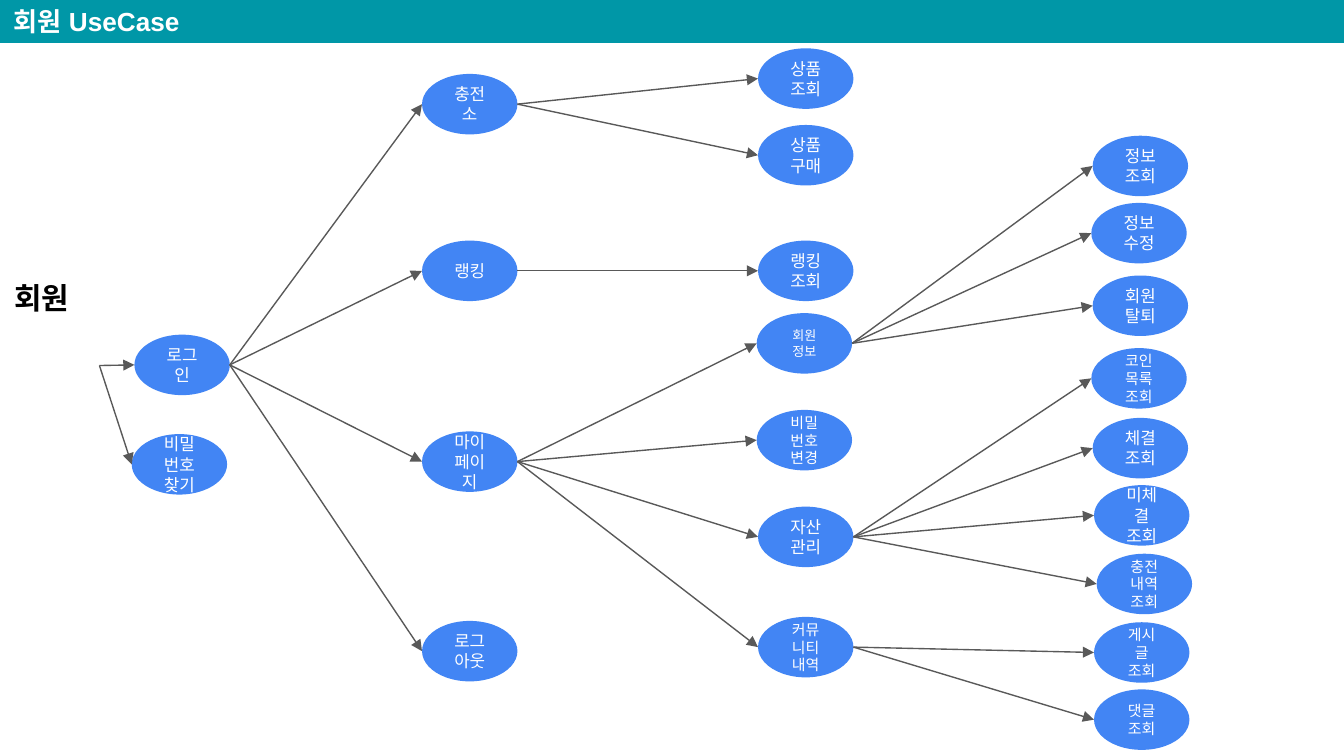
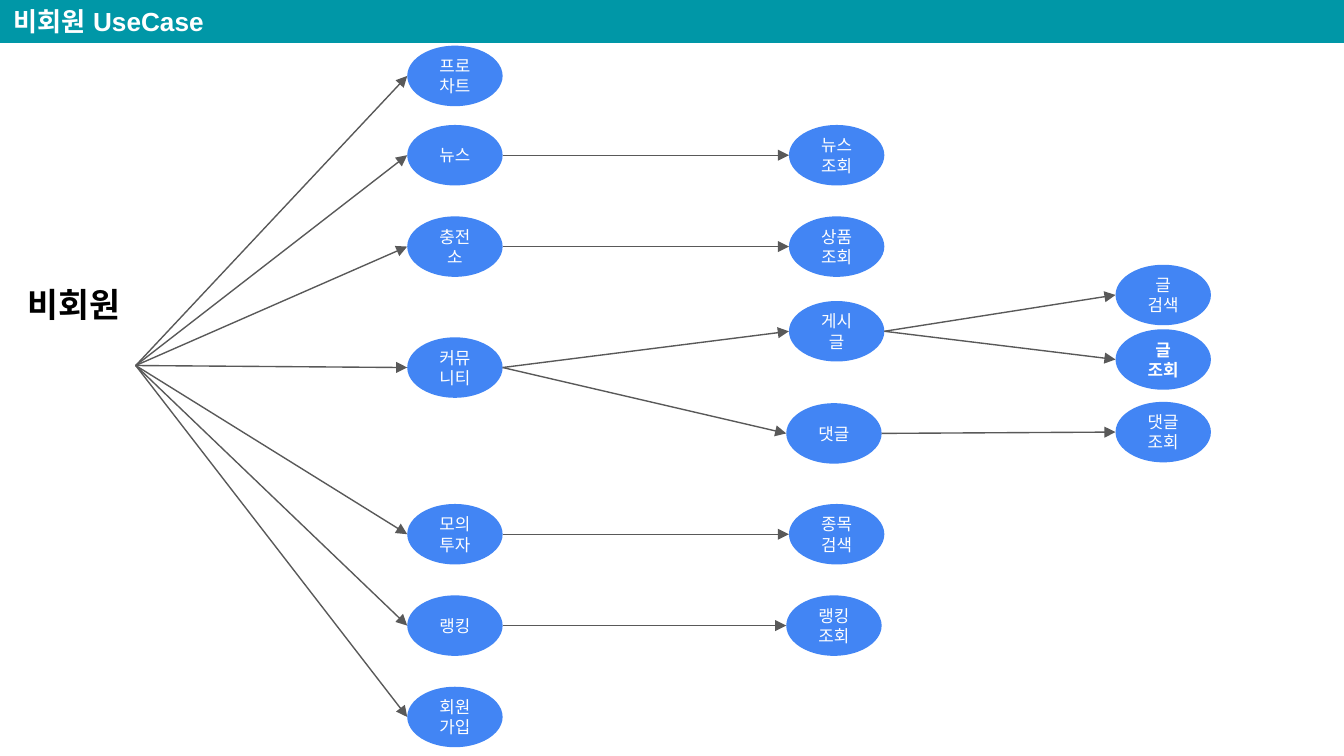
import pptx
import pptx.dml.color
import pptx.enum.shapes
import pptx.enum.text
import pptx.oxml
import pptx.util

Inches = pptx.util.Inches
SHAPE = pptx.enum.shapes.MSO_SHAPE
ALIGN = pptx.enum.text.PP_ALIGN

# Shared style
TEAL, BLUE, GREY, WHITE, BLACK = "0097A7", "4285F4", "595959", "FFFFFF", "000000"
NODE_W, NODE_H = 0.71, 0.45
TITLE_BOX = (0, -0.06, 2.82, 0.44)
TITLE_FORMAT = {"size": 14, "name": "Arial", "color": WHITE, "bold": True}
NODE_FORMAT = {"size": 9, "name": "Lato", "color": WHITE}
ACTOR_FORMAT = {"size": 16, "name": "Lato", "color": BLACK, "bold": True}

# Each node: text, left, top, children, format changes; "\n" parts paragraphs
SMALL = {"size": 8}

MEMBER_TREE = [
    ("로그인", 1, 2.49, [
        ("충전소", 3.14, 0.55, [
            ("상품 조회", 5.64, 0.36),
            ("상품\n구매", 5.64, 0.93),
        ]),
        ("랭킹", 3.14, 1.79, [
            ("랭킹\n조회", 5.64, 1.79),
        ]),
        ("마이\n페이지", 3.14, 3.21, [
            ("회원\n정보", 5.63, 2.33, [
                ("정보\n조회", 8.13, 1.01),
                ("정보\n수정", 8.12, 1.51),
                ("회원\n탈퇴", 8.13, 2.05),
            ], {"size": 7}),
            ("비밀\n번호\n변경", 5.63, 3.05, [], SMALL),
            ("자산\n관리", 5.64, 3.77, [
                ("코인\n목록\n조회", 8.12, 2.59, [], SMALL),
                ("체결\n조회", 8.13, 3.11),
                ("미체결\n조회", 8.14, 3.61),
                ("충전\n내역\n조회", 8.16, 4.12, [], SMALL),
            ]),
            ("커뮤\n니티\n내역", 5.64, 4.59, [
                ("게시글\n조회", 8.14, 4.63, [], SMALL),
                ("댓글\n조회", 8.14, 5.13, [], SMALL),
            ], SMALL),
        ]),
        ("로그 아웃", 3.14, 4.62),
    ]),
    ("비밀 번호\n찾기", 0.98, 3.23),
]

GUEST_TREE = [
    ("프로 차트", 3.03, 0.34),
    ("뉴스", 3.03, 0.93, [
        ("뉴스\n조회", 5.87, 0.93),
    ]),
    ("충전소", 3.03, 1.61, [
        ("상품 조회", 5.87, 1.61),
    ]),
    ("커뮤 니티", 3.03, 2.51, [
        ("게시글", 5.87, 2.24, [
            ("글 검색", 8.3, 1.97),
            ("글\n조회", 8.3, 2.45, [], {"bold": True}),
        ]),
        ("댓글", 5.85, 3, [
            ("댓글\n조회", 8.3, 2.99),
        ]),
    ]),
    ("모의 투자", 3.03, 3.75, [
        ("종목 검색", 5.87, 3.75),
    ]),
    ("랭킹", 3.03, 4.43, [
        ("랭킹\n조회", 5.85, 4.43),
    ]),
    ("회원 가입", 3.03, 5.11),
]

SLIDES = [
    {"title": "회원 UseCase", "actor": "회원", "box": (-0.08, 1.98, 0.78, 0.47),
     "size": 16, "align": ALIGN.CENTER, "origin": (0.74, 2.72), "tree": MEMBER_TREE},
    {"title": "비회원 UseCase", "actor": "비회원", "box": (0.11, 2.01, 1.09, 0.5),
     "size": 18, "align": ALIGN.LEFT, "origin": (1.01, 2.72), "tree": GUEST_TREE},
]


def rgb(color):
    return pptx.dml.color.RGBColor.from_string(color)


def add_xml(parent, tag, **attributes):
    child = pptx.oxml.parse_xml(
        f'<a:{tag} xmlns:a="http://schemas.openxmlformats.org/drawingml/2006/main"/>')
    for name, value in attributes.items():
        child.set(name, value)
    parent.append(child)


def write(tf, text, fmt, align):
    tf.word_wrap = True
    for side in ("left", "top", "right", "bottom"):
        setattr(tf, f"margin_{side}", Inches(0.1))
    for i, line in enumerate(text.split("\n")):
        p = tf.paragraphs[0] if i == 0 else tf.add_paragraph()
        p.alignment = align
        r = p.add_run()
        r.text = line
        for name, value in fmt.items():
            if name == "color":
                r.font.color.rgb = rgb(value)
            else:
                setattr(r.font, name, pptx.util.Pt(value) if name == "size" else value)
        for tag in ("ea", "cs"):
            add_xml(r.font._element, tag, typeface=fmt["name"])


def add_filled(s, kind, box, color):
    sp = s.shapes.add_shape(kind, *map(Inches, box))
    sp.shadow.inherit = False
    sp.fill.solid()
    sp.fill.fore_color.rgb = rgb(color)
    sp.line.fill.background()
    return sp


def add_label(s, text, box, fmt, align):
    tf = s.shapes.add_textbox(*map(Inches, box)).text_frame
    write(tf, text, fmt, align)
    tf.auto_size = pptx.enum.text.MSO_AUTO_SIZE.SHAPE_TO_FIT_TEXT


def add_arrow(s, start, end):
    line = s.shapes.add_connector(
        pptx.enum.shapes.MSO_CONNECTOR.STRAIGHT, *map(Inches, start + end))
    line.line.color.rgb = rgb(GREY)
    line.line.width = pptx.util.Pt(0.75)
    add_xml(line.line._get_or_add_ln(), "tailEnd", type="triangle", w="med", len="med")
    add_xml(line._element.spPr, "effectLst")


def add_node(s, start, text, left, top, children=(), changes=None):
    """Draw a use case, the arrow that leads to it, and all that follows from it."""
    sp = add_filled(s, SHAPE.OVAL, (left, top, NODE_W, NODE_H), BLUE)
    sp.text_frame.vertical_anchor = pptx.enum.text.MSO_ANCHOR.MIDDLE
    write(sp.text_frame, text, NODE_FORMAT | (changes or {}), ALIGN.CENTER)
    middle = top + NODE_H / 2
    add_arrow(s, start, (left, middle))
    for child in children:
        add_node(s, (left + NODE_W, middle), *child)


def add_use_cases(prs, content):
    s = prs.slides.add_slide(prs.slide_layouts[6])
    # Title band
    add_filled(s, SHAPE.RECTANGLE, (0, 0, 10, 0.32), TEAL)
    add_label(s, content["title"], TITLE_BOX, TITLE_FORMAT, ALIGN.LEFT)
    # Actor and the use cases that start from it
    add_label(s, content["actor"], content["box"],
              ACTOR_FORMAT | {"size": content["size"]}, content["align"])
    for node in content["tree"]:
        add_node(s, content["origin"], *node)


def main():
    prs = pptx.Presentation()
    # Widescreen, 16:9
    prs.slide_width = Inches(10)
    prs.slide_height = Inches(10 * 9 / 16)
    for content in SLIDES:
        add_use_cases(prs, content)
    prs.save("out.pptx")


if __name__ == "__main__":
    main()
